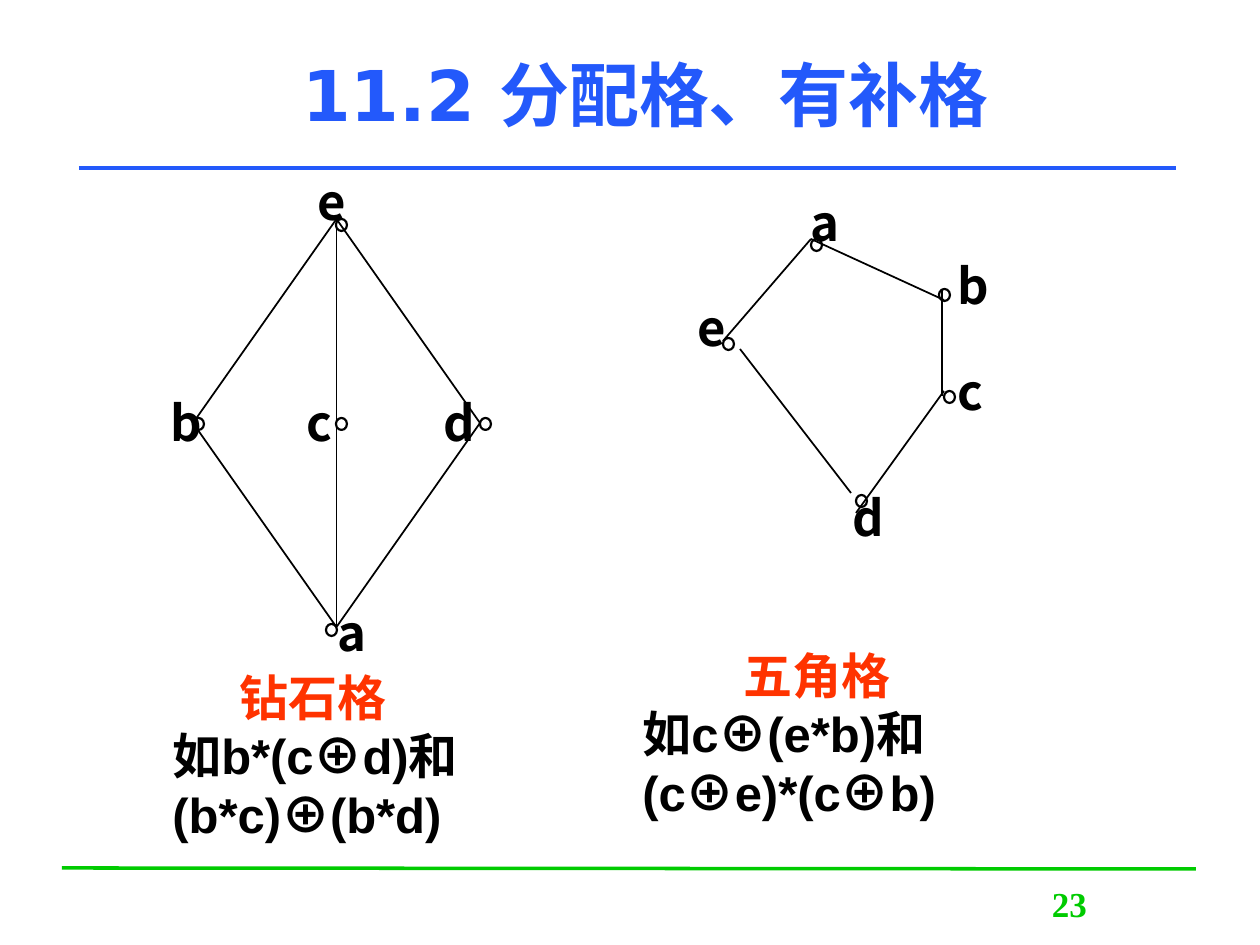
from pptx import Presentation
from pptx.dml.color import RGBColor
from pptx.enum.shapes import MSO_CONNECTOR, MSO_SHAPE
from pptx.enum.text import MSO_ANCHOR, MSO_AUTO_SIZE, PP_ALIGN
from pptx.oxml.ns import qn
from pptx.util import Emu, Pt
from lxml.etree import SubElement

SCALE = 914400 / 126
COLORS = {"blue": "2359FB", "green": "00CB00", "red": "FF3300", "black": "000000"}
CJK = "Noto Sans CJK SC"


def px(*lengths):
    return [Emu(round(length * SCALE)) for length in lengths]


def add_run(paragraph, text, size, font_name, color):
    run = paragraph.add_run()
    run.text = text
    for name, value in {"size": Pt(size), "name": font_name, "bold": True}.items():
        setattr(run.font, name, value)
    run.font.color.rgb = RGBColor.from_string(COLORS[color])
    SubElement(run.font._element, qn("a:ea")).set("typeface", CJK)


presentation = Presentation()
presentation.slide_width, presentation.slide_height = px(1260, 945)
slide = presentation.slides.add_slide(presentation.slide_layouts[5])
shapes = slide.shapes

# Title
title = shapes.title
title.left, title.top, title.width, title.height = px(94, 55, 1103, 77)
title_format = {"vertical_anchor": MSO_ANCHOR.MIDDLE, "word_wrap": True,
                "auto_size": MSO_AUTO_SIZE.NONE}
for name, value in title_format.items():
    setattr(title.text_frame, name, value)
title_paragraph = title.text_frame.paragraphs[0]
title_paragraph.alignment = PP_ALIGN.CENTER
add_run(title_paragraph, "11.2 分配格、有补格", 40, "DejaVu Sans", "blue")

# Diamond lattice outline
diamond = shapes.add_shape(MSO_SHAPE.DIAMOND, *px(193, 219, 287, 408))
diamond.shadow.inherit = False
diamond.fill.background()
diamond.line.color.rgb = RGBColor.from_string(COLORS["black"])
diamond.line.width = Pt(1)

# Rules, diamond axis and pentagon sides
lines = [
    ((62, 868, 1196, 869), "green", 2),
    ((79, 168, 1176, 168), "blue", 2),
    ((336, 219, 336, 627), "black", 1),
    ((811, 239, 944, 300), "black", 1),
    ((942, 289, 942, 396), "black", 1),
    ((811, 239, 723, 341), "black", 1),
    ((944, 391, 856, 513), "black", 1),
    ((740, 349, 851, 493), "black", 1),
]
connectors = []
for ends, color, width in lines:
    connector = shapes.add_connector(MSO_CONNECTOR.STRAIGHT, *px(*ends))
    connector.line.color.rgb = RGBColor.from_string(COLORS[color])
    connector.line.width = Pt(width)
    SubElement(connector._element.spPr, qn("a:effectLst"))
    connectors.append(connector)
diamond_axis = connectors[2]
diamond_axis.begin_connect(diamond, 0)
diamond_axis.end_connect(diamond, 2)

# Lattice elements: label, node corner, label corner
elements = [
    ("e", (336, 219), (305, 165)),
    ("b", (193, 418), (158, 386)),
    ("c", (336, 418), (294, 386)),
    ("d", (480, 418), (431, 386)),
    ("a", (326, 624), (325, 596)),
    ("a", (811, 239), (798, 186)),
    ("b", (939, 289), (945, 249)),
    ("c", (944, 391), (945, 355)),
    ("d", (856, 495), (840, 481)),
    ("e", (723, 338), (685, 291)),
]
for label, node_corner, label_corner in elements:
    node = shapes.add_shape(MSO_SHAPE.OVAL, *px(*node_corner, 11, 12))
    node.shadow.inherit = False
    node.fill.background()
    node.line.color.rgb = RGBColor.from_string(COLORS["black"])
    node.line.width = Pt(1.25)
    label_box = shapes.add_textbox(*px(*label_corner, 50, 72))
    label_box.text_frame.word_wrap = False
    add_run(label_box.text_frame.paragraphs[0], label, 28, CJK, "black")

# Captions: box, heading indent, heading, formula lines
captions = [
    ((160, 661, 558, 189), 67, "钻石格", ["如b*(c⊕d)和", "(b*c)⊕(b*d)"]),
    ((630, 639, 570, 189), 101, "五角格", ["如c⊕(e*b)和", "(c⊕e)*(c⊕b)"]),
]
for box, indent, heading, formula_lines in captions:
    frame = shapes.add_textbox(*px(*box)).text_frame
    frame.word_wrap = True
    heading_paragraph = frame.paragraphs[0]
    heading_paragraph._p.get_or_add_pPr().set("indent", str(px(indent)[0]))
    add_run(heading_paragraph, heading, 28, "Arial", "red")
    formula = frame.add_paragraph()
    for number, formula_line in enumerate(formula_lines):
        if number:
            formula.add_line_break()
        for part_number, part in enumerate(formula_line.split("⊕")):
            if part_number:
                add_run(formula, "⊕", 28, CJK, "black")
            add_run(formula, part, 28, "Arial", "black")

# Page number
number_frame = shapes.add_textbox(*px(970, 876, 199, 63)).text_frame
number_frame.word_wrap = True
number_paragraph = number_frame.paragraphs[0]
number_format = {"alignment": PP_ALIGN.CENTER, "space_before": Pt(10)}
for name, value in number_format.items():
    setattr(number_paragraph, name, value)
add_run(number_paragraph, "23", 20, "Times New Roman", "green")

presentation.save("out.pptx")
